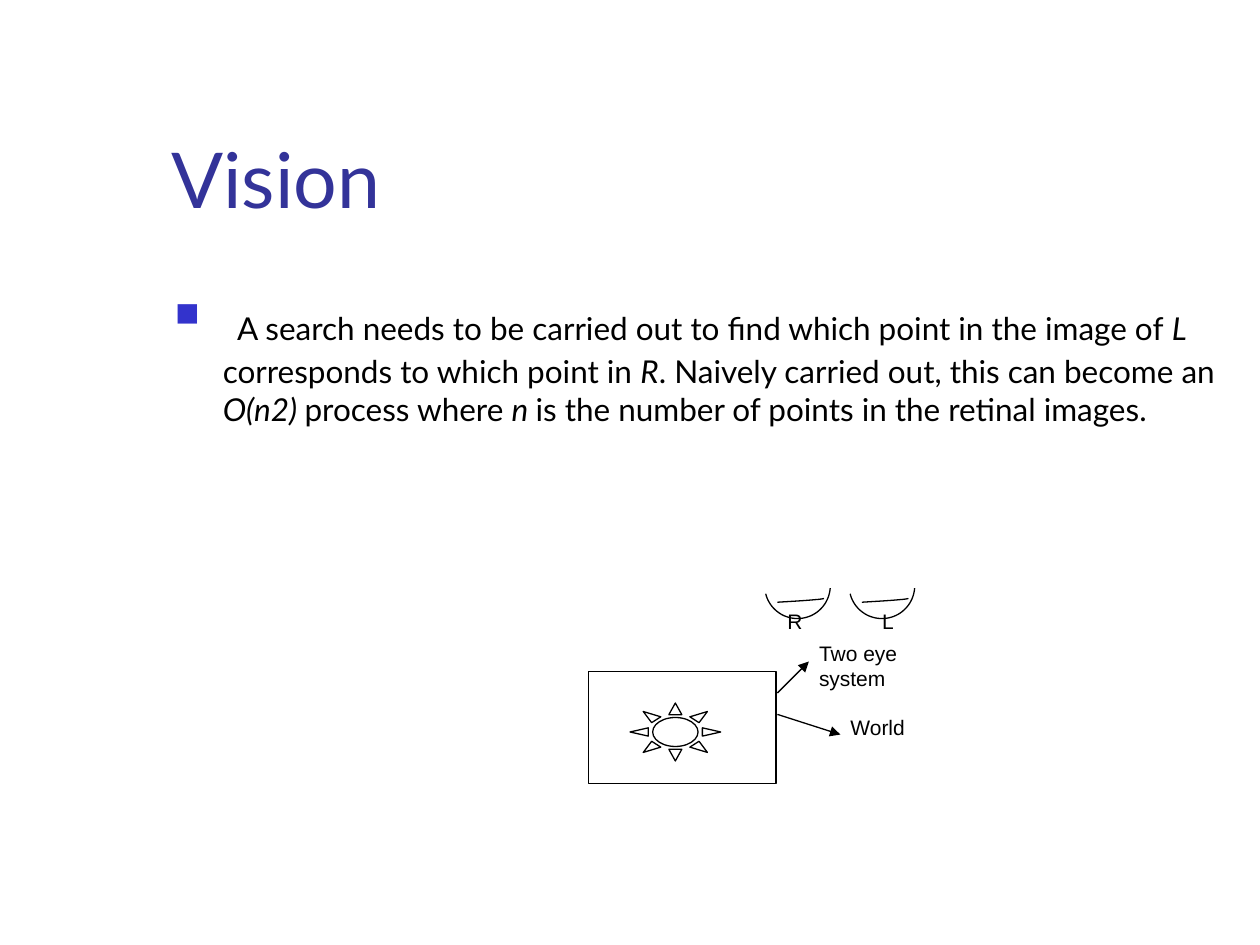
import math

from lxml import etree
from pptx import Presentation
from pptx.dml.color import RGBColor
from pptx.enum.shapes import MSO_CONNECTOR, MSO_SHAPE
from pptx.enum.text import MSO_ANCHOR
from pptx.oxml.ns import qn
from pptx.util import Inches, Pt

STRAIGHT = MSO_CONNECTOR.STRAIGHT
RECTANGLE, SUN = MSO_SHAPE.RECTANGLE, MSO_SHAPE.SUN
TOP, BOTTOM = MSO_ANCHOR.TOP, MSO_ANCHOR.BOTTOM

COLORS = {"title": "333399", "bullet": "3333CC", "ink": "000000", "paper": "FFFFFF"}
LINE_WIDTH = 0.75

# Body sentence as (text, size, italic)
SEARCH_NOTE = [
    (" ", 32, False),
    ("A search needs to be carried out to find which point in the image of ", 18, False),
    ("L", 18, True),
    (" corresponds to which point in ", 18, False),
    ("R", 18, True),
    (". Naively carried out, this can become an ", 18, False),
    ("O(n2) ", 18, True),
    ("process where ", 18, False),
    ("n ", 18, True),
    ("is the number of points in the retinal images.", 18, False),
]


def color(name):
    return RGBColor.from_string(COLORS[name])


def add_frame(slide, left, top, width, height, margins=(0, 0), anchor=TOP):
    box = slide.shapes.add_textbox(Inches(left), Inches(top), Inches(width), Inches(height))
    frame = box.text_frame
    frame.word_wrap = True
    frame.vertical_anchor = anchor
    frame.margin_left = frame.margin_right = Inches(margins[0])
    frame.margin_top = frame.margin_bottom = Inches(margins[1])
    return frame


def style_run(run, font, size, color_name, italic=False):
    run.font.name = font
    run.font.size = Pt(size)
    run.font.italic = italic
    run.font.color.rgb = color(color_name)


def add_label(slide, text, left, top, width, height):
    frame = add_frame(slide, left, top, width, height)
    frame.text = text
    style_run(frame.paragraphs[0].runs[0], "Arial", 12, "ink")


def add_bullet(paragraph, indent):
    properties = paragraph._p.get_or_add_pPr()
    properties.set("marL", str(Inches(indent)))
    properties.set("indent", str(-Inches(indent)))
    bullet_color = etree.SubElement(properties, qn("a:buClr"))
    etree.SubElement(bullet_color, qn("a:srgbClr"), val=COLORS["bullet"])
    etree.SubElement(properties, qn("a:buSzPct"), val="60000")
    etree.SubElement(properties, qn("a:buChar"), char="■")


def outline(shape, fill=None):
    shape.shadow.inherit = False
    if fill:
        shape.fill.solid()
        shape.fill.fore_color.rgb = color(fill)
    else:
        shape.fill.background()
    shape.line.color.rgb = color("ink")
    shape.line.width = Pt(LINE_WIDTH)


def add_outlined(slide, kind, left, top, width, height, fill=None):
    shape = slide.shapes.add_shape(
        kind, Inches(left), Inches(top), Inches(width), Inches(height))
    outline(shape, fill)


def add_curve(slide, points):
    start, *rest = [(Inches(x), Inches(y)) for x, y in points]
    builder = slide.shapes.build_freeform(*start)
    builder.add_line_segments(rest, close=False)
    outline(builder.convert_to_shape())


def add_eye(slide, left):
    # Bowl: the lower arc of a circle
    radius, center_x, center_y = 0.26, left + 0.25, 4.65
    angles = [math.radians(166 - 162 * step / 40) for step in range(41)]
    add_curve(slide, [(center_x + radius * math.cos(a), center_y + radius * math.sin(a))
                      for a in angles])

    # Lens: a flat cubic curve inside the bowl
    controls = [(0.09, 4.78), (0.46, 4.76), (0.46, 4.75), (0.46, 4.75)]
    lens = []
    for step in range(13):
        t = step / 12
        weights = [math.comb(3, i) * t**i * (1 - t)**(3 - i) for i in range(4)]
        lens.append((left + sum(w * x for w, (x, _) in zip(weights, controls)),
                     sum(w * y for w, (_, y) in zip(weights, controls))))
    add_curve(slide, lens)


def add_arrow(slide, start, end):
    arrow = slide.shapes.add_connector(STRAIGHT, *map(Inches, start + end))
    arrow.line.color.rgb = color("ink")
    arrow.line.width = Pt(LINE_WIDTH)
    etree.SubElement(arrow.line._get_or_add_ln(), qn("a:tailEnd"), type="triangle")
    etree.SubElement(arrow._element.spPr, qn("a:effectLst"))


def add_title(slide):
    frame = add_frame(slide, 1.26, 0.23, 8.52, 1.6, (0.1, 0.05), BOTTOM)
    frame.text = "Vision"
    style_run(frame.paragraphs[0].runs[0], "Lato", 44, "title")


def add_body(slide):
    paragraph = add_frame(slide, 1.29, 2.21, 8.5, 4.5, (0.1, 0.05)).paragraphs[0]
    add_bullet(paragraph, 0.38)
    for text, size, italic in SEARCH_NOTE:
        run = paragraph.add_run()
        run.text = text
        style_run(run, "Lato", size, "ink", italic)


def main():
    deck = Presentation()
    deck.slide_width, deck.slide_height = Inches(10), Inches(7.5)
    slide = deck.slides.add_slide(deck.slide_layouts[6])

    add_title(slide)
    add_body(slide)

    # World with the sun in it
    add_outlined(slide, RECTANGLE, 4.67, 5.33, 1.49, 0.89)
    add_outlined(slide, SUN, 5, 5.58, 0.72, 0.46, "paper")

    # Two eyes
    for left in (6.08, 6.75):
        add_eye(slide, left)
    add_label(slide, "R", 6.25, 4.83, 0.2, 0.37)
    add_label(slide, "L", 7, 4.83, 0.19, 0.37)

    # Arrows and their captions
    add_arrow(slide, (6.17, 5.5), (6.42, 5.25))
    add_label(slide, "Two eye system", 6.5, 5.08, 1.08, 0.31)
    add_arrow(slide, (6.17, 5.67), (6.67, 5.83))
    add_label(slide, "World", 6.75, 5.67, 0.47, 0.33)

    deck.save("out.pptx")


if __name__ == "__main__":
    main()
